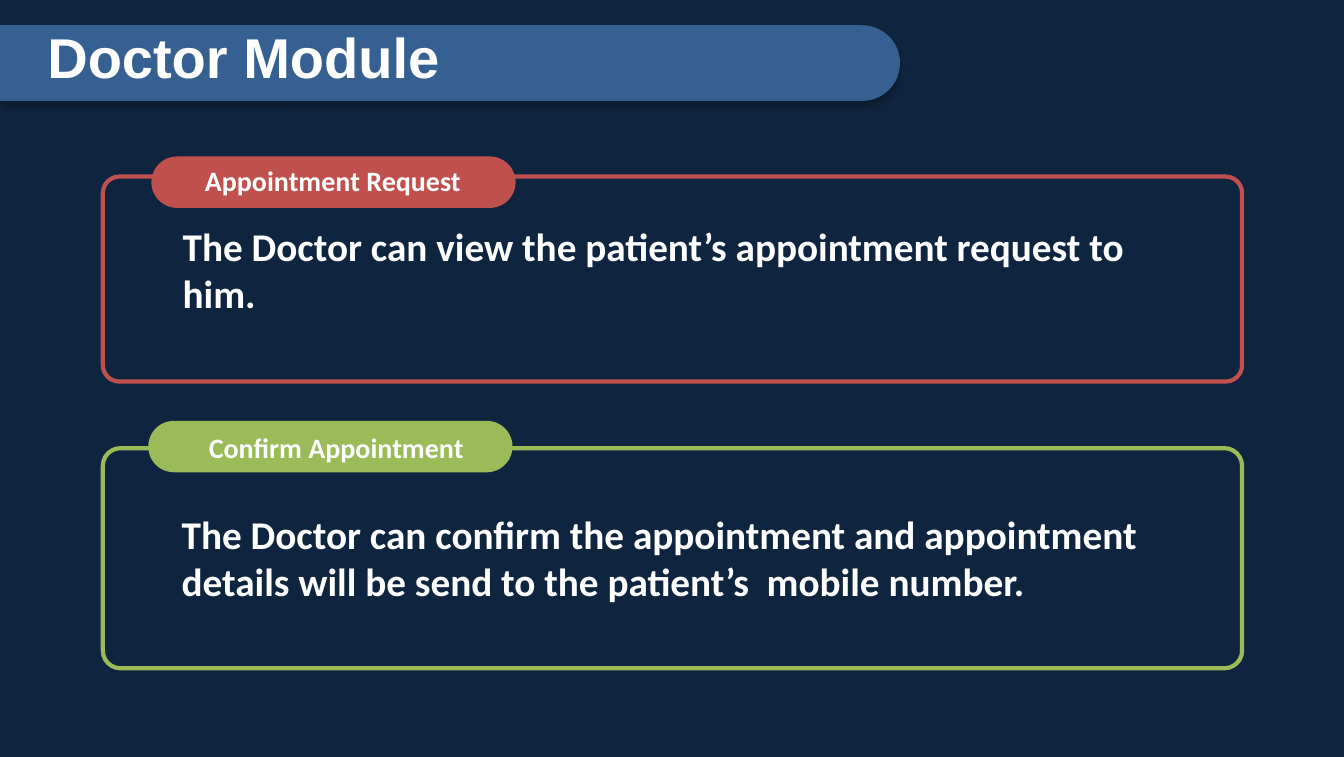
"""Build the Doctor Module slide with two labelled cards."""
from lxml import etree
from pptx import Presentation
from pptx.dml.color import RGBColor
from pptx.enum import shapes, text
from pptx.oxml import ns
from pptx.util import Pt

NAVY, BLUE, WHITE = "0F253F", "376092", "FFFFFF"
TITLE = "Doctor Module"
CARDS = [
    dict(color="C0504D", top=126, height=146.2, pill=(108, 111.6),
         label="Appointment Request", label_at=(142.6, 113, 198.7, 26.6),
         body="The Doctor can view the patient’s appointment request to him.",
         body_at=(126.7, 154.7, 735.1, 90)),
    dict(color="9BBB59", top=319.7, height=157, pill=(105.8, 300.2),
         label="Confirm Appointment", label_at=(145.4, 303.8, 193, 26.6),
         body="The Doctor can confirm the appointment and appointment "
              "details will be send to the patient’s  mobile number.",
         body_at=(126, 360.7, 728.6, 69.1)),
]
LEFT, WIDTH = 73.4, 812.9
PILL = (259.9, 36.7)
BAR_TOP, BAR_WIDTH, BAR_HEIGHT = 18, 642.2, 54


def rgb(color):
    return RGBColor.from_string(color)


def add_box(slide, kind, box, fill, round_by, line=None):
    shape = slide.shapes.add_shape(kind, *map(Pt, box))
    shape.shadow.inherit = False
    shape.adjustments[0] = round_by
    shape.fill.solid()
    shape.fill.fore_color.rgb = rgb(fill)
    if line:
        shape.line.color.rgb = rgb(line)
        shape.line.width = Pt(3)
    else:
        shape.line.fill.background()
    return shape


def add_words(slide, box, words, size, face="Calibri", inset=3.6,
              anchor=text.MSO_ANCHOR.TOP):
    frame = slide.shapes.add_textbox(*map(Pt, box)).text_frame
    frame.word_wrap = True
    frame.vertical_anchor = anchor
    frame.margin_left = frame.margin_right = Pt(inset)
    frame.margin_top = frame.margin_bottom = Pt(inset)
    run = frame.paragraphs[0].add_run()
    run.text = words
    run.font.name, run.font.size, run.font.bold = face, Pt(size), True
    run.font.color.rgb = rgb(WHITE)


def add_shadow(shape):
    glow = shape.element.spPr.find(ns.qn("a:effectLst"))
    outer = etree.SubElement(glow, ns.qn("a:outerShdw"), blurRad=str(Pt(4)),
                             dist=str(Pt(4)), dir="5400000", rotWithShape="0")
    color = etree.SubElement(outer, ns.qn("a:srgbClr"), val="000000")
    etree.SubElement(color, ns.qn("a:alpha"), val="22000")


def add_card(slide, card):
    kind = shapes.MSO_SHAPE.ROUNDED_RECTANGLE
    frame = (LEFT, card["top"], WIDTH, card["height"])
    add_box(slide, kind, frame, NAVY, 0.08, card["color"])
    add_box(slide, kind, card["pill"] + PILL, card["color"], 0.5)
    add_words(slide, card["body_at"], card["body"], 28)
    add_words(slide, card["label_at"], card["label"], 20)


def add_title(slide):
    shift = (BAR_WIDTH - BAR_HEIGHT) / 2
    box = (shift, BAR_TOP - shift, BAR_HEIGHT, BAR_WIDTH)
    bar = add_box(slide, shapes.MSO_SHAPE.ROUND_2_SAME_RECTANGLE, box, BLUE, 0.5)
    bar.rotation = 90
    add_shadow(bar)
    add_words(slide, (28.8, 13, 877, 53.3), TITLE, 40, "Arial", 5,
              text.MSO_ANCHOR.MIDDLE)


def main():
    deck = Presentation()
    deck.slide_width, deck.slide_height = Pt(959), Pt(540)
    slide = deck.slides.add_slide(deck.slide_layouts[6])
    slide.background.fill.solid()
    slide.background.fill.fore_color.rgb = rgb(NAVY)
    for card in CARDS:
        add_card(slide, card)
    add_title(slide)
    deck.save("out.pptx")


if __name__ == "__main__":
    main()
